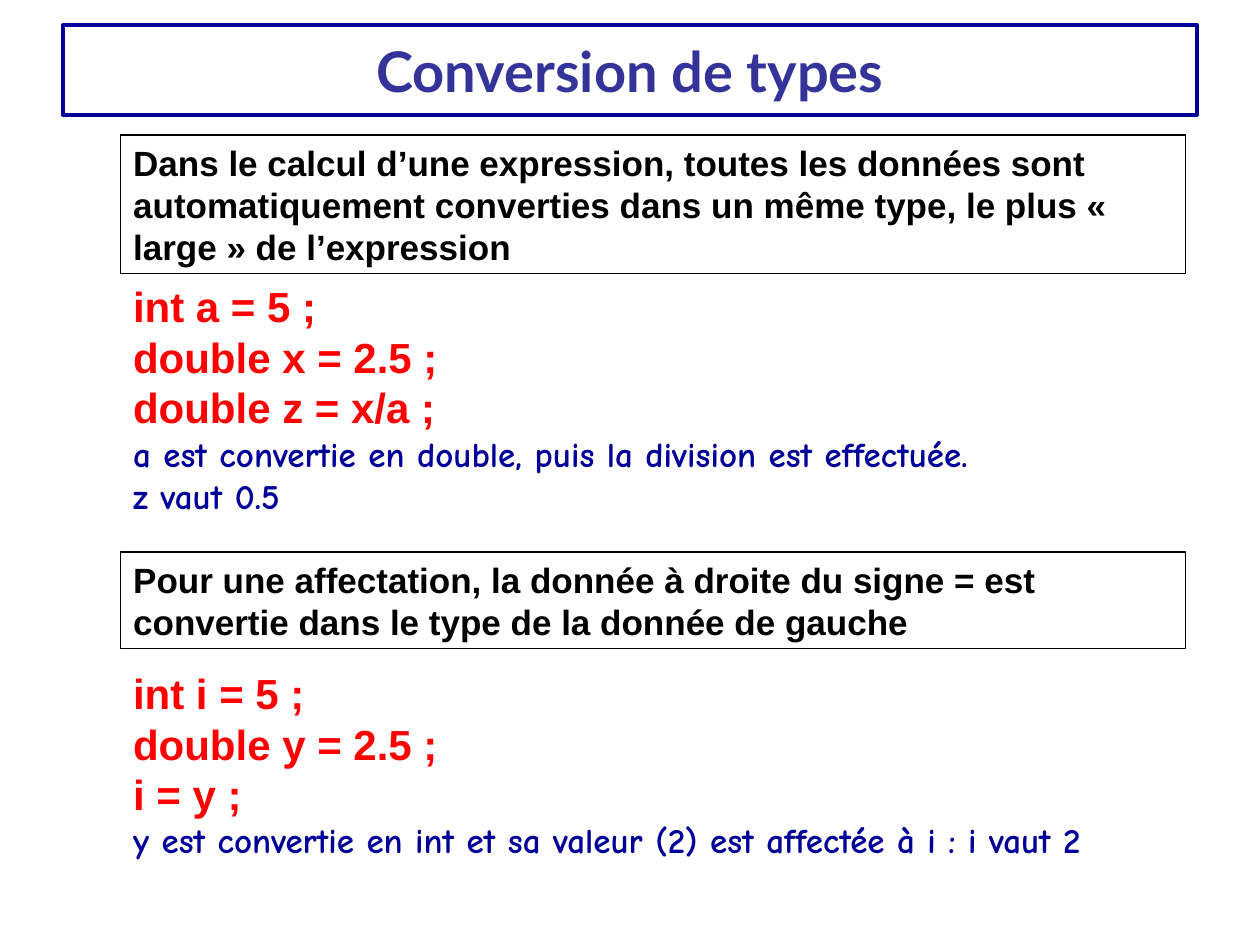
import pptx
import pptx.dml.color
import pptx.enum.shapes
import pptx.enum.text
import pptx.util

Pt = pptx.util.Pt

NAVY = "000099"
BLUE = "333399"
RED = "FF0000"
BLACK = "000000"

LEFT = 69
RULE_WIDTH = 608.5
EXAMPLE_WIDTH = 595.5
LINE_HEIGHT = 1.2


def color(hex_string):
    return pptx.dml.color.RGBColor.from_string(hex_string)


def place(shape, left, top, width, height):
    shape.left, shape.top = Pt(left), Pt(top)
    shape.width, shape.height = Pt(width), Pt(height)


def outline(shape, hex_string, width):
    shape.line.color.rgb = color(hex_string)
    shape.line.width = Pt(width)


def format_paragraph(paragraph, font_name, size, hex_string):
    for run in paragraph.runs:
        run.font.name = font_name
        run.font.size = Pt(size)
        run.font.bold = True
        run.font.color.rgb = color(hex_string)


def format_body_paragraph(paragraph, font_name, size, hex_string):
    paragraph.alignment = pptx.enum.text.PP_ALIGN.LEFT
    paragraph.line_spacing = Pt(size * LINE_HEIGHT)
    format_paragraph(paragraph, font_name, size, hex_string)


def add_title(slide, text):
    title = slide.shapes.title
    place(title, 36, 14.4, 648, 51.1)
    outline(title, NAVY, 2.25)
    title.text_frame.text = text
    title.text_frame.vertical_anchor = pptx.enum.text.MSO_ANCHOR.MIDDLE
    paragraph = title.text_frame.paragraphs[0]
    paragraph.alignment = pptx.enum.text.PP_ALIGN.CENTER
    format_paragraph(paragraph, "Lato", 32, BLUE)


def add_rule(slide, top, height, text):
    """Add a framed statement of a conversion rule."""
    shape = slide.shapes.add_shape(
        pptx.enum.shapes.MSO_SHAPE.RECTANGLE,
        Pt(LEFT), Pt(top), Pt(RULE_WIDTH), Pt(height))
    shape.shadow.inherit = False
    shape.fill.background()
    outline(shape, BLACK, 0.75)
    frame = shape.text_frame
    frame.word_wrap = True
    frame.vertical_anchor = pptx.enum.text.MSO_ANCHOR.TOP
    frame.text = text
    format_body_paragraph(frame.paragraphs[0], "Arial", 20, BLACK)


def add_example(slide, top, height, code_lines, comments):
    """Add code lines followed by the comments that explain them."""
    box = slide.shapes.add_textbox(
        Pt(LEFT), Pt(top), Pt(EXAMPLE_WIDTH), Pt(height))
    frame = box.text_frame
    frame.word_wrap = True
    frame.text = "\n".join(code_lines + comments)
    for index, paragraph in enumerate(frame.paragraphs):
        if index < len(code_lines):
            format_body_paragraph(paragraph, "Arial", 24, RED)
        else:
            format_body_paragraph(paragraph, "Comic Neue", 20, NAVY)


def main():
    presentation = pptx.Presentation()
    presentation.slide_width = Pt(720)
    presentation.slide_height = Pt(540)
    title_only = presentation.slide_layouts[5]
    slide = presentation.slides.add_slide(title_only)

    add_title(slide, "Conversion de types")
    add_rule(slide, 77.2, 79.2,
             "Dans le calcul d’une expression, toutes les données sont "
             "automatiquement converties dans un même type, le plus "
             "« large » de l’expression")
    add_example(slide, 157, 141.6,
                ["int a = 5 ;", "double x = 2.5 ;", "double z = x/a ;"],
                ["a est convertie en double, puis la division est effectuée.",
                 "z vaut 0.5"])
    add_rule(slide, 315.4, 55.2,
             "Pour une affectation, la donnée à droite du signe = est "
             "convertie dans le type de la donnée de gauche")
    add_example(slide, 378, 117.6,
                ["int i = 5 ;", "double y = 2.5 ;", "i = y ;"],
                ["y est convertie en int et sa valeur (2) est affectée à i : "
                 "i vaut 2"])

    presentation.save("out.pptx")


if __name__ == "__main__":
    main()
